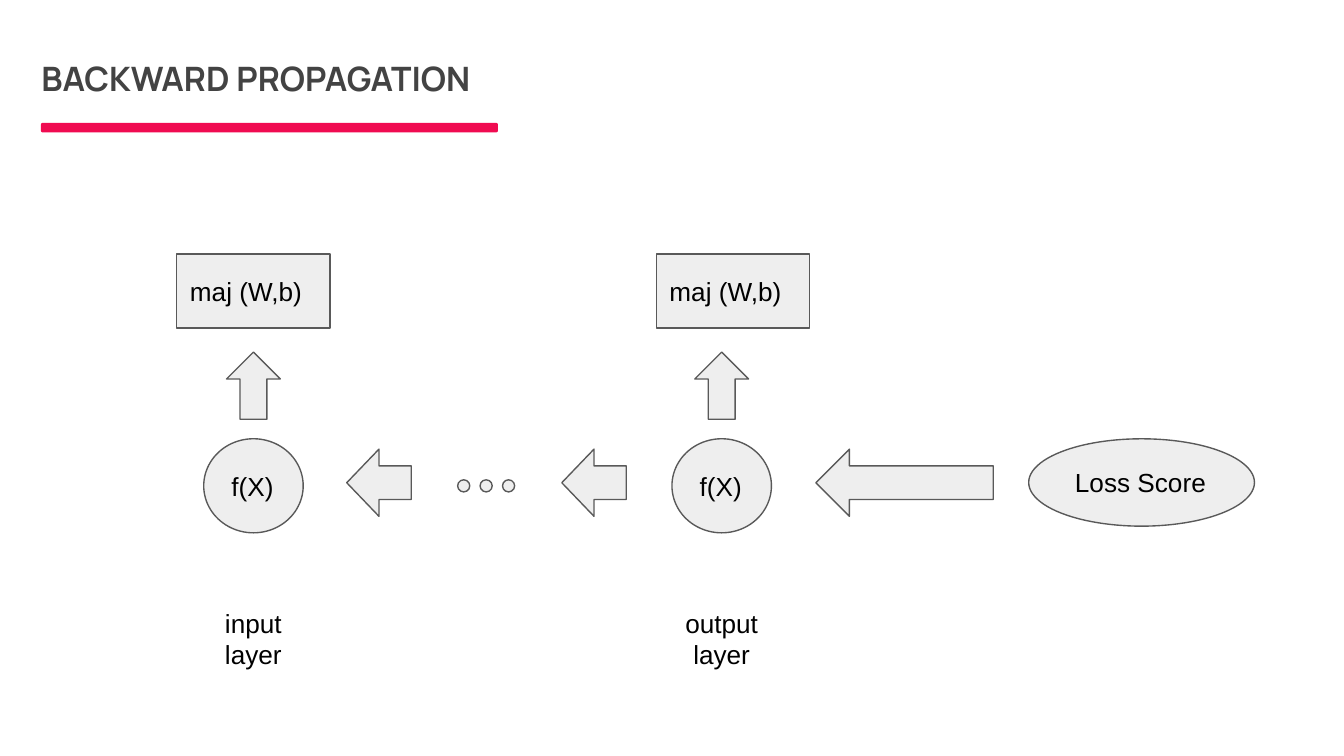
import pptx
import pptx.util
import pptx.dml.color
import pptx.enum.shapes
import pptx.enum.text

SHAPE = pptx.enum.shapes.MSO_SHAPE
ALIGN = pptx.enum.text.PP_ALIGN
ANCHOR = pptx.enum.text.MSO_ANCHOR

WHITE = pptx.dml.color.RGBColor(0xFF, 0xFF, 0xFF)
BLACK = pptx.dml.color.RGBColor(0x00, 0x00, 0x00)
TITLE_GRAY = pptx.dml.color.RGBColor(0x43, 0x43, 0x43)
FILL_GRAY = pptx.dml.color.RGBColor(0xEE, 0xEE, 0xEE)
LINE_GRAY = pptx.dml.color.RGBColor(0x59, 0x59, 0x59)
ACCENT = pptx.dml.color.RGBColor(0xF0, 0x0B, 0x51)

presentation = pptx.Presentation()
presentation.slide_width = pptx.util.Inches(10)
presentation.slide_height = presentation.slide_width * 9 // 16
slide = presentation.slides.add_slide(presentation.slide_layouts[6])
slide.background.fill.solid()
slide.background.fill.fore_color.rgb = WHITE

GRID = presentation.slide_width / 100
TOP_ROW = 18.9
UP_ROW = 26.2
NODE_ROW = 32.65
ARROW_ROW = 33.42
DOT_ROW = 35.7
LABEL_ROW = 44.2


def write_text(shape, text, *, size=14, font="Arial", color=BLACK, bold=False,
               align=ALIGN.LEFT, anchor=ANCHOR.MIDDLE):
    frame = shape.text_frame
    frame.word_wrap = True
    frame.vertical_anchor = anchor
    frame.margin_left = frame.margin_right = pptx.util.Inches(0.1)
    frame.margin_top = frame.margin_bottom = pptx.util.Inches(0.1)
    paragraph = frame.paragraphs[0]
    paragraph.alignment = align
    run = paragraph.add_run()
    run.text = text
    run.font.size = pptx.util.Pt(size)
    run.font.name = font
    run.font.bold = bold
    run.font.color.rgb = color


def draw_shape(kind, column, row, columns, rows, fill=FILL_GRAY, line=LINE_GRAY):
    box = [round(value * GRID) for value in (column, row, columns, rows)]
    shape = slide.shapes.add_shape(kind, *box)
    shape.shadow.inherit = False
    shape.fill.solid()
    shape.fill.fore_color.rgb = fill
    if line is None:
        shape.line.fill.background()
    else:
        shape.line.color.rgb = line
        shape.line.width = pptx.util.Pt(0.75)
    return shape


loss = draw_shape(SHAPE.OVAL, 76.54, NODE_ROW, 16.8, 6.5)
write_text(loss, "Loss Score")

for center, update_center, label in [
    (53.7, 54.53, "output layer"),
    (18.86, 18.85, "input layer"),
]:
    node = draw_shape(SHAPE.OVAL, center - 3.7, NODE_ROW, 7.4, 7)
    write_text(node, "f(X)")
    draw_shape(SHAPE.UP_ARROW, center - 2, UP_ROW, 4, 5)
    update = draw_shape(SHAPE.RECTANGLE, update_center - 5.7, TOP_ROW, 11.4, 5.5)
    write_text(update, "maj (W,b)")
    layer_label = slide.shapes.add_textbox(
        *[round(value * GRID) for value in (center - 4, LABEL_ROW, 8, 6)])
    write_text(layer_label, label, align=ALIGN.CENTER, anchor=ANCHOR.TOP)

for column, columns in [(60.7, 13.2), (41.8, 4.8), (25.8, 4.8)]:
    draw_shape(SHAPE.LEFT_ARROW, column, ARROW_ROW, columns, 5)

for index in range(3):
    draw_shape(SHAPE.OVAL, 34.05 + 1.67 * index, DOT_ROW, 0.9, 0.9)

title = slide.shapes.add_textbox(
    *[round(value * GRID) for value in (2.1, 3.3, 43.5, 5.5)])
write_text(title, "BACKWARD PROPAGATION", size=18, font="Manrope",
           color=TITLE_GRAY, bold=True, anchor=ANCHOR.TOP)
draw_shape(SHAPE.ROUNDED_RECTANGLE, 3.05, 9.15, 34, 0.7, ACCENT, None)

presentation.save("out.pptx")
